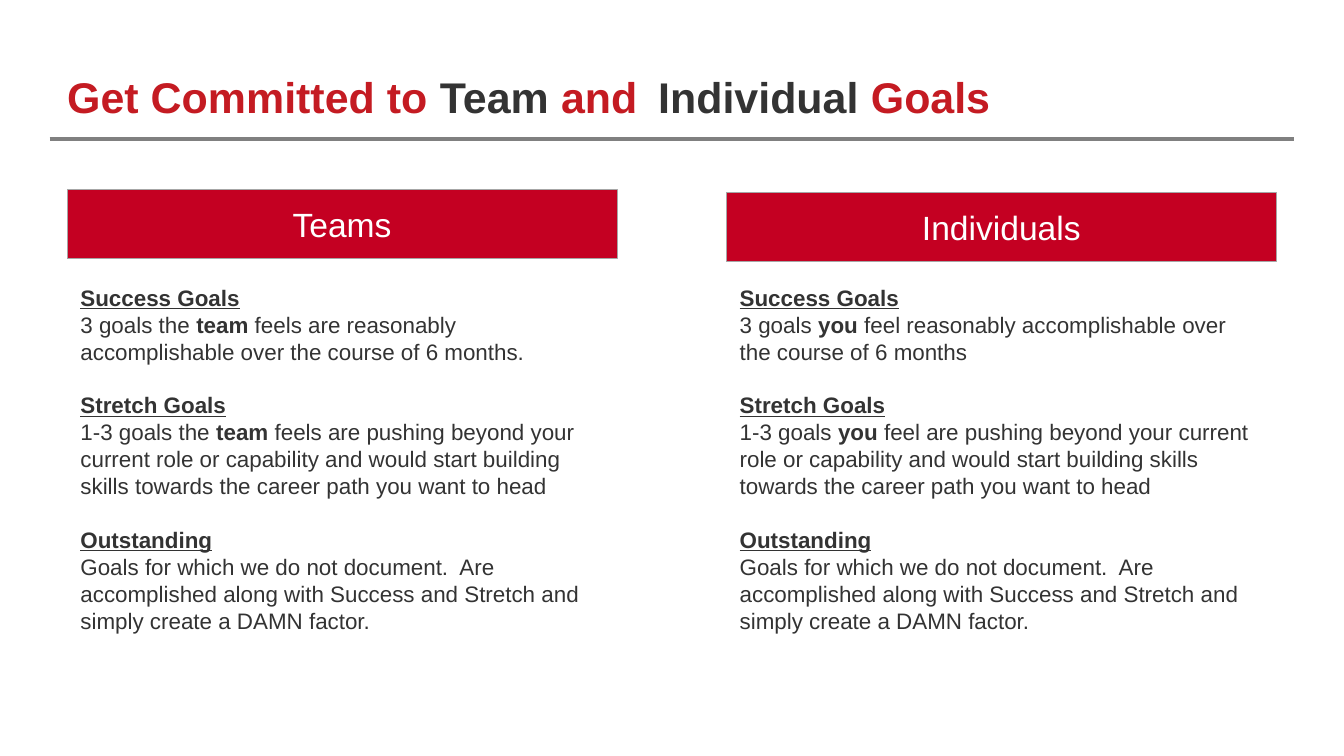
from lxml import etree
from pptx import Presentation
from pptx.dml.color import RGBColor
from pptx.enum.shapes import MSO_CONNECTOR, MSO_SHAPE
from pptx.enum.text import MSO_ANCHOR, MSO_AUTO_SIZE, PP_ALIGN
from pptx.oxml.ns import qn
from pptx.util import Pt

RECT = MSO_SHAPE.RECTANGLE
LINE = MSO_CONNECTOR.STRAIGHT
BOTTOM, MIDDLE = MSO_ANCHOR.BOTTOM, MSO_ANCHOR.MIDDLE
LEFT, CENTER = PP_ALIGN.LEFT, PP_ALIGN.CENTER
FIXED, GROW = MSO_AUTO_SIZE.NONE, MSO_AUTO_SIZE.SHAPE_TO_FIT_TEXT
PX = 4572  # 200 px to the inch
COLORS = {"title": "C41B22", "band": "C40022", "text": "333333",
          "rule": "808080", "edge": "A6A6A6", "white": "FFFFFF"}


def rgb(name):
    return RGBColor.from_string(COLORS[name])


def add_run(para, text, size, color, bold=False, under=False):
    run = para.add_run()
    run.text = text
    font = run.font
    font.name, font.size = "Arial", Pt(size)
    font.bold, font.underline = bold, under
    font.color.rgb = rgb(color)


prs = Presentation()
prs.slide_width, prs.slide_height = 2000 * PX, 1125 * PX
slide = prs.slides.add_slide(prs.slide_layouts[5])
shapes = slide.shapes

# Title
title = shapes.title
title.left, title.top, title.width, title.height = 100 * PX, 0, 1800 * PX, 193 * PX
frame = title.text_frame
frame.margin_left = frame.margin_right = 0
frame.margin_top = frame.margin_bottom = 0
frame.vertical_anchor = BOTTOM
frame.auto_size = FIXED
frame.word_wrap = True
para = frame.paragraphs[0]
para.alignment = LEFT
para.line_spacing = 0.9
for text, size, color in [("Get Committed to ", 23, "title"), ("Team ", 23, "text"),
                          ("and", 23, "title"), (" ", 40, "title"),
                          ("Individual", 23, "text"), (" Goals", 23, "title")]:
    add_run(para, text, size, color, bold=True)

# Rule under the title
rule = shapes.add_connector(LINE, 74 * PX, 207 * PX, 1926 * PX, 207 * PX)
rule.line.color.rgb = rgb("rule")
rule.line.width = Pt(2)
etree.SubElement(rule._element.spPr, qn("a:effectLst"))

# Goal columns: heading, left, band top, and the words that differ
cols = [
    ("Teams", 100, 282, "the ", "team",
     " feels are reasonably accomplishable over the course of 6 months.", " feels"),
    ("Individuals", 1081, 286, "", "you",
     " feel reasonably accomplishable over the course of 6 months", " feel"),
]
for head, left, top, lead, who, success, verb in cols:
    # Heading band
    band = shapes.add_shape(RECT, left * PX, top * PX, 818 * PX, 103 * PX)
    band.shadow.inherit = False
    band.fill.solid()
    band.fill.fore_color.rgb = rgb("band")
    band.line.color.rgb = rgb("edge")
    band.line.width = Pt(0.25)
    band.text_frame.vertical_anchor = MIDDLE
    para = band.text_frame.paragraphs[0]
    para.alignment = CENTER
    add_run(para, head, 18, "white")

    # Goal descriptions
    goals = [
        ("Success Goals", [("3 goals " + lead, False), (who, True), (success, False)]),
        ("Stretch Goals", [("1-3 goals " + lead, False), (who, True),
                           (verb + " are pushing beyond your current role or capability "
                            "and would start building skills towards the career path "
                            "you want to head", False)]),
        ("Outstanding", [("Goals for which we do not document.  Are accomplished along "
                          "with Success and Stretch and simply create a DAMN factor.",
                          False)]),
    ]
    box = shapes.add_textbox(left * PX, 413 * PX, 818 * PX, 546 * PX)
    frame = box.text_frame
    frame.word_wrap = True
    frame.auto_size = GROW
    for i, (name, parts) in enumerate(goals):
        para = frame.add_paragraph() if i else frame.paragraphs[0]
        para.line_spacing = Pt(14.4)
        if i:
            para.space_before = Pt(14.4)
        add_run(para, name, 12, "text", bold=True, under=True)
        para = frame.add_paragraph()
        para.line_spacing = Pt(14.4)
        for text, bold in parts:
            add_run(para, text, 12, "text", bold=bold)

prs.save("out.pptx")
